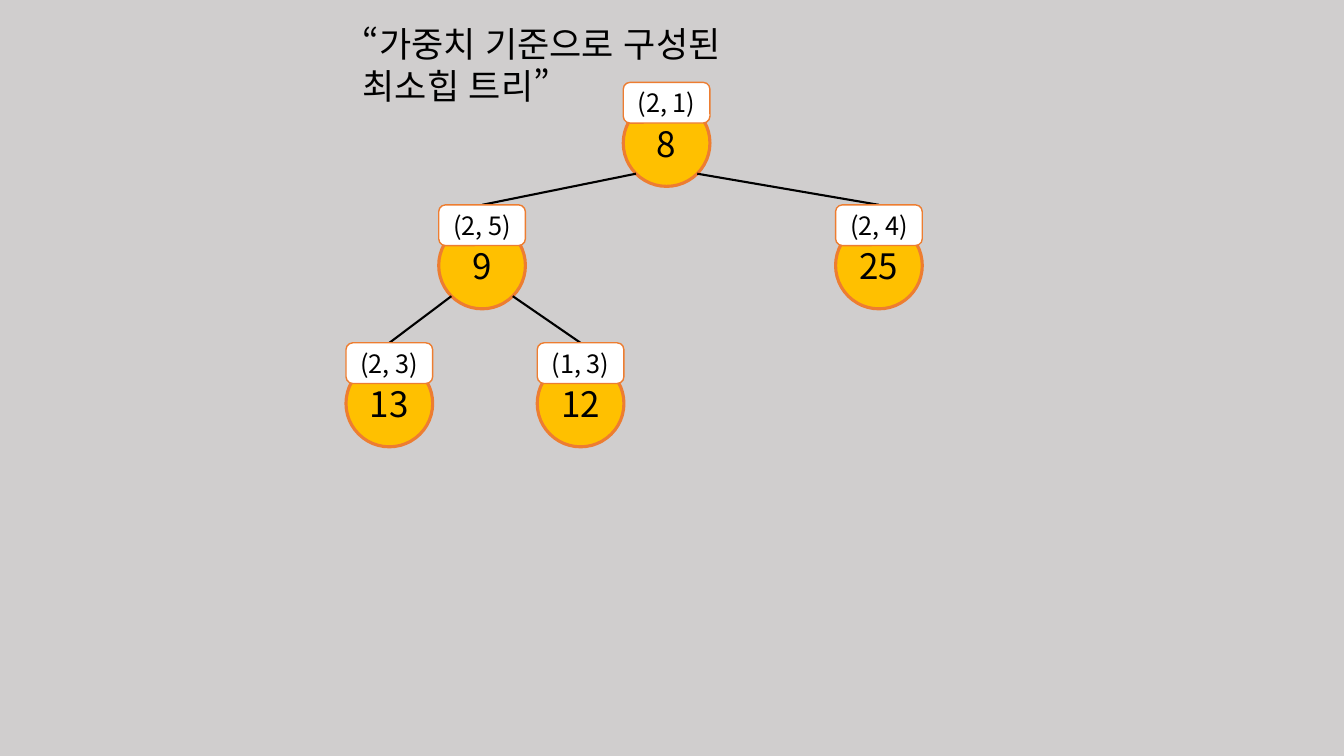
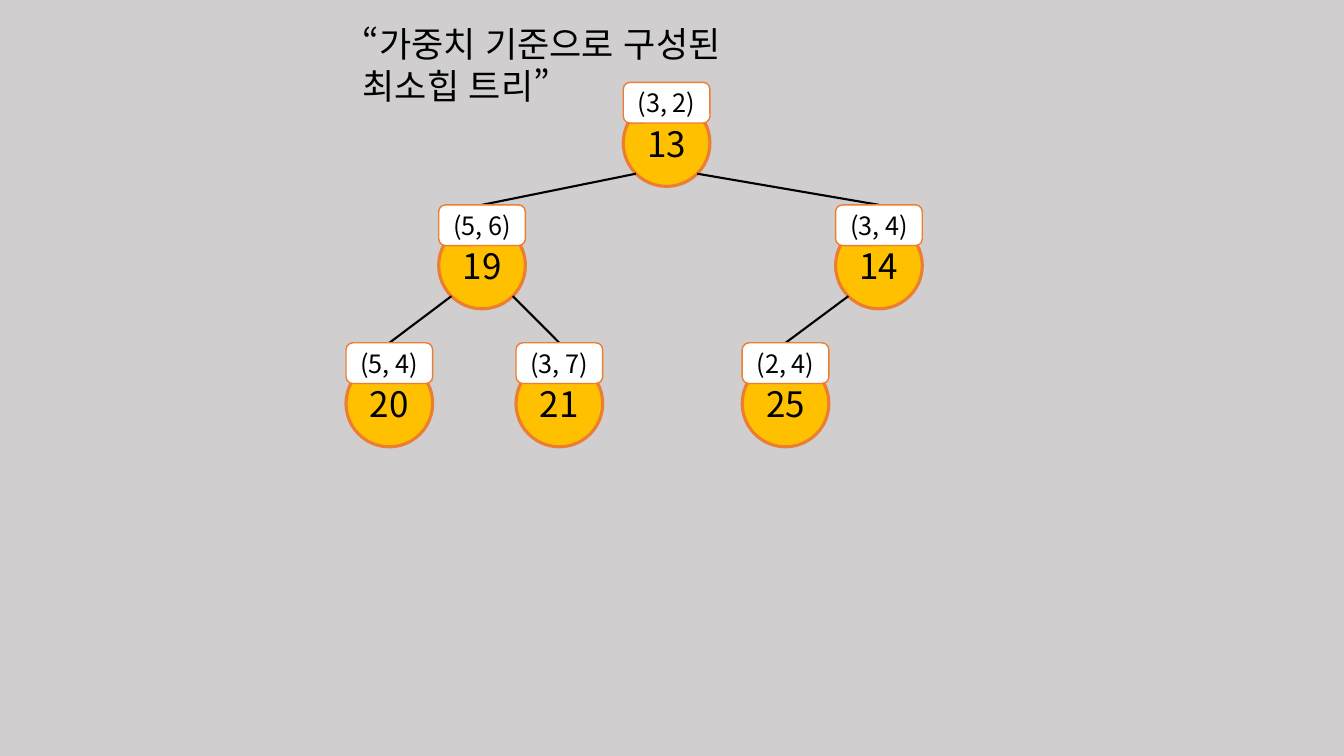
import dataclasses
import math

import pptx
import pptx.dml.color
import pptx.enum.lang
import pptx.enum.shapes
import pptx.enum.text
import pptx.util
from lxml import etree
from pptx.oxml.ns import qn


@dataclasses.dataclass(frozen=True)
class Theme:
    """Colours, type sizes and line widths shared by the slides."""

    font: str = "Noto Sans CJK KR"
    backdrop: str = "D0CECE"
    ink: str = "000000"
    circle: str = "FFC000"
    tag: str = "FFFFFF"
    outline: str = "ED7D31"
    large: float = 25
    small: float = 18
    circle_line: float = 2.25
    tag_line: float = 1
    edge_line: float = 1.5


THEME = Theme()
WIDTH = pptx.util.Inches(13.33)
HEIGHT = pptx.util.Inches(7.5)
SHAPES = pptx.enum.shapes.MSO_SHAPE

TITLE = "“가중치 기준으로 구성된 최소힙 트리”"
TITLE_BOX = (26.25, 2.27, 35.7, 6.93)
NODE_WIDTH = 6.45
LEVELS = (10.9, 27.1, 45.35)
ROOT, LEFT, RIGHT = (49.6, 0), (35.87, 1), (65.4, 1)
LEFT_LEFT, RIGHT_LEFT = (28.97, 2), (58.45, 2)

TREES = (
    (
        ("8", "(2, 1)", ROOT, None),
        ("9", "(2, 5)", LEFT, 0),
        ("25", "(2, 4)", RIGHT, 0),
        ("13", "(2, 3)", LEFT_LEFT, 1),
        ("12", "(1, 3)", (43.2, 2), 1),
    ),
    (
        ("13", "(3, 2)", ROOT, None),
        ("19", "(5, 6)", LEFT, 0),
        ("14", "(3, 4)", RIGHT, 0),
        ("20", "(5, 4)", LEFT_LEFT, 1),
        ("21", "(3, 7)", (41.62, 2), 1),
        ("25", "(2, 4)", RIGHT_LEFT, 2),
    ),
)


def across(percent):
    """Turn a percentage of the slide width into a length."""
    return round(WIDTH * percent / 100)


def down(percent):
    """Turn a percentage of the slide height into a length."""
    return round(HEIGHT * percent / 100)


def color(value):
    """Turn a hex string into a colour."""
    return pptx.dml.color.RGBColor.from_string(value)


def write(shape, text, size):
    """Put one styled paragraph into a shape."""
    para = shape.text_frame.paragraphs[0]
    para.text = text
    font = para.font
    font.size = pptx.util.Pt(size)
    font.color.rgb = color(THEME.ink)
    font.name = THEME.font
    font.language_id = pptx.enum.lang.MSO_LANGUAGE_ID.KOREAN
    defaults = para._p.get_or_add_pPr().find(qn("a:defRPr"))
    etree.SubElement(defaults, qn("a:ea"), typeface=THEME.font)
    return para


def add_title(page, box):
    """Write the title into a box given in percentages of the slide."""
    left, top, width, height = box
    title = page.shapes.add_textbox(across(left), down(top), across(width), down(height))
    title.text_frame.word_wrap = True
    write(title, TITLE, THEME.large)


def add_label(page, kind, box, text, size, fill, line_width):
    """Draw an outlined shape with centred text."""
    shape = page.shapes.add_shape(kind, *box)
    shape.shadow.inherit = False
    shape.fill.solid()
    shape.fill.fore_color.rgb = color(fill)
    shape.line.color.rgb = color(THEME.outline)
    shape.line.width = pptx.util.Pt(line_width)
    shape.text_frame.vertical_anchor = pptx.enum.text.MSO_ANCHOR.MIDDLE
    write(shape, text, size).alignment = pptx.enum.text.PP_ALIGN.CENTER
    return shape


def add_node(page, left, top, width, value, weight):
    """Draw a node as a circle with a weight tag over its top."""
    circle_box = (left, top + round(width * 0.2), width, width)
    tag_box = (left, top, width, round(width * 0.47))
    circle = add_label(page, SHAPES.OVAL, circle_box, value,
                       THEME.large, THEME.circle, THEME.circle_line)
    tag = add_label(page, SHAPES.ROUNDED_RECTANGLE, tag_box, weight,
                    THEME.small, THEME.tag, THEME.tag_line)
    page.shapes.add_group_shape([circle, tag])
    return circle, tag


def add_edge(page, circle, center, top):
    """Draw a line from the lower flank of a parent circle to a child's top."""
    radius = circle.width / 2
    reach = radius * math.sqrt(0.5)
    middle = circle.left + radius
    start = middle + math.copysign(reach, center - middle)
    edge = page.shapes.add_connector(
        pptx.enum.shapes.MSO_CONNECTOR.STRAIGHT,
        round(start), round(circle.top + radius + reach), center, top)
    edge.line.color.rgb = color(THEME.ink)
    edge.line.width = pptx.util.Pt(THEME.edge_line)
    etree.SubElement(edge._element.spPr, qn("a:effectLst"))
    return edge


def add_tree(page, nodes):
    """Draw the nodes of a tree and the edges to their parents."""
    width = across(NODE_WIDTH)
    circles = []
    for value, weight, (column, level), parent in nodes:
        center, top = across(column), down(LEVELS[level])
        edge = None if parent is None else add_edge(page, circles[parent], center, top)
        circle, tag = add_node(page, center - width // 2, top, width, value, weight)
        if edge is not None:
            edge.end_connect(tag, 0)
        circles.append(circle)


def main():
    """Build the deck with one slide for each tree."""
    deck = pptx.Presentation()
    deck.slide_width, deck.slide_height = WIDTH, HEIGHT
    backdrop = deck.slide_master.background.fill
    backdrop.solid()
    backdrop.fore_color.rgb = color(THEME.backdrop)
    for nodes in TREES:
        page = deck.slides.add_slide(deck.slide_layouts[6])
        add_title(page, TITLE_BOX)
        add_tree(page, nodes)
    deck.save("out.pptx")


if __name__ == "__main__":
    main()
